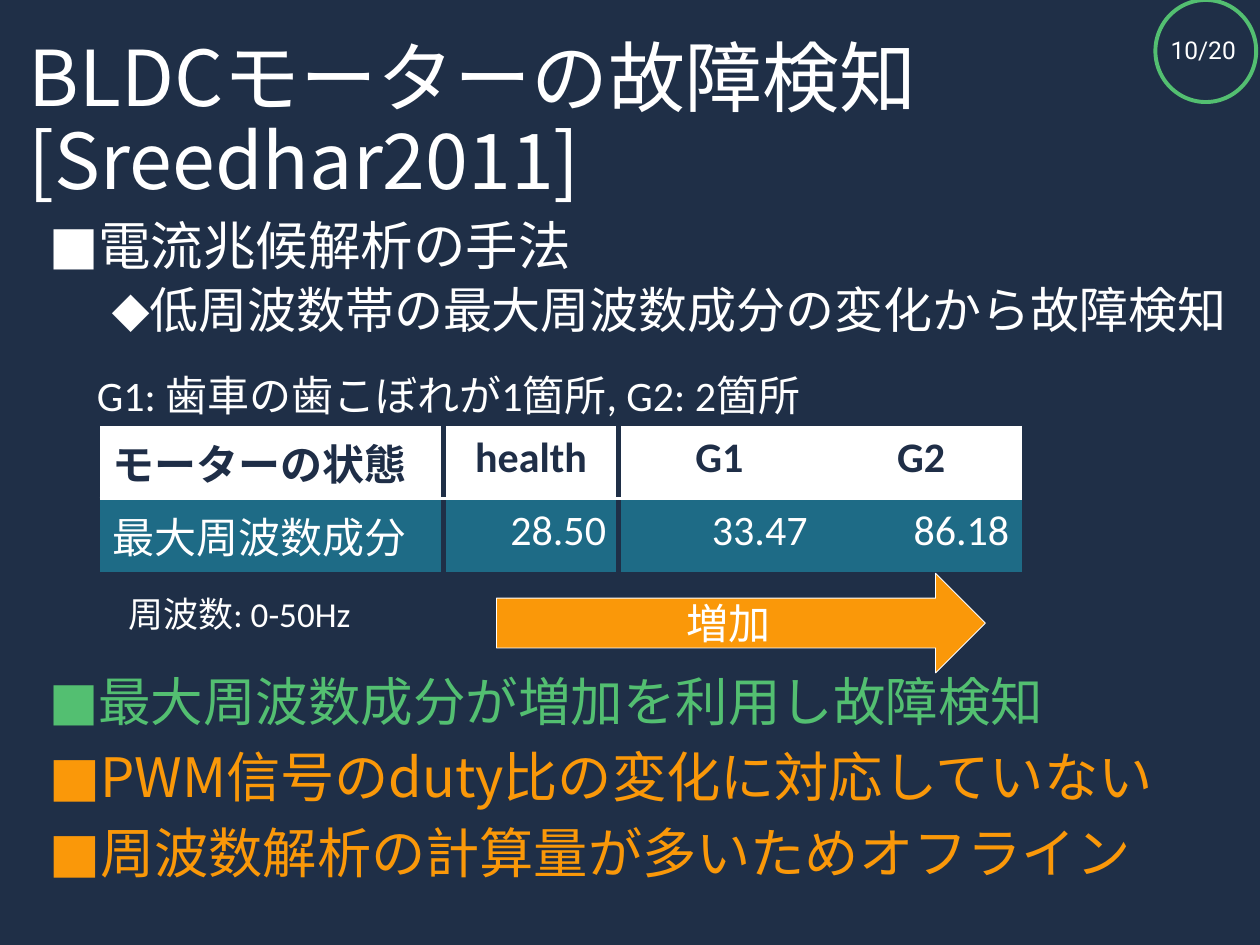
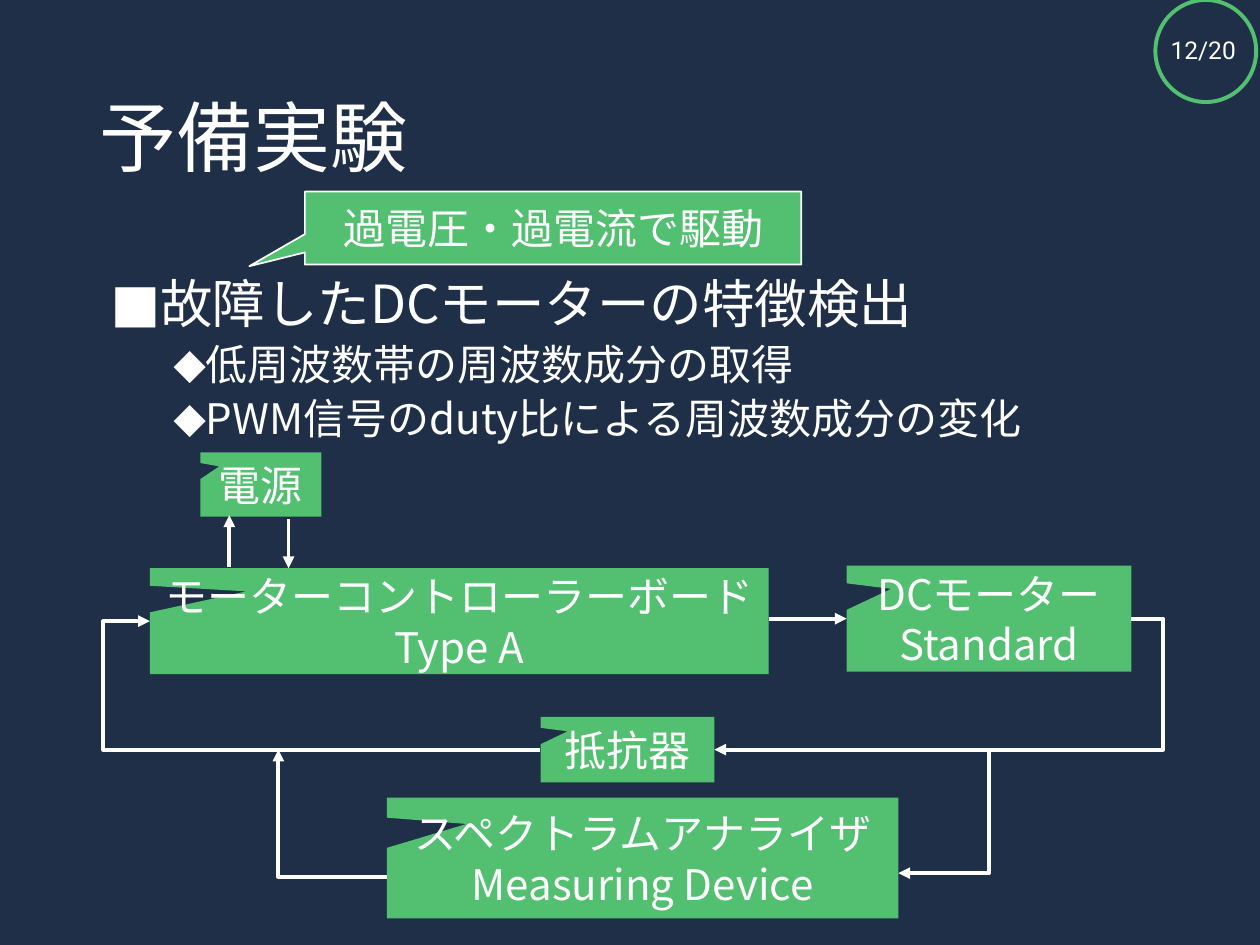
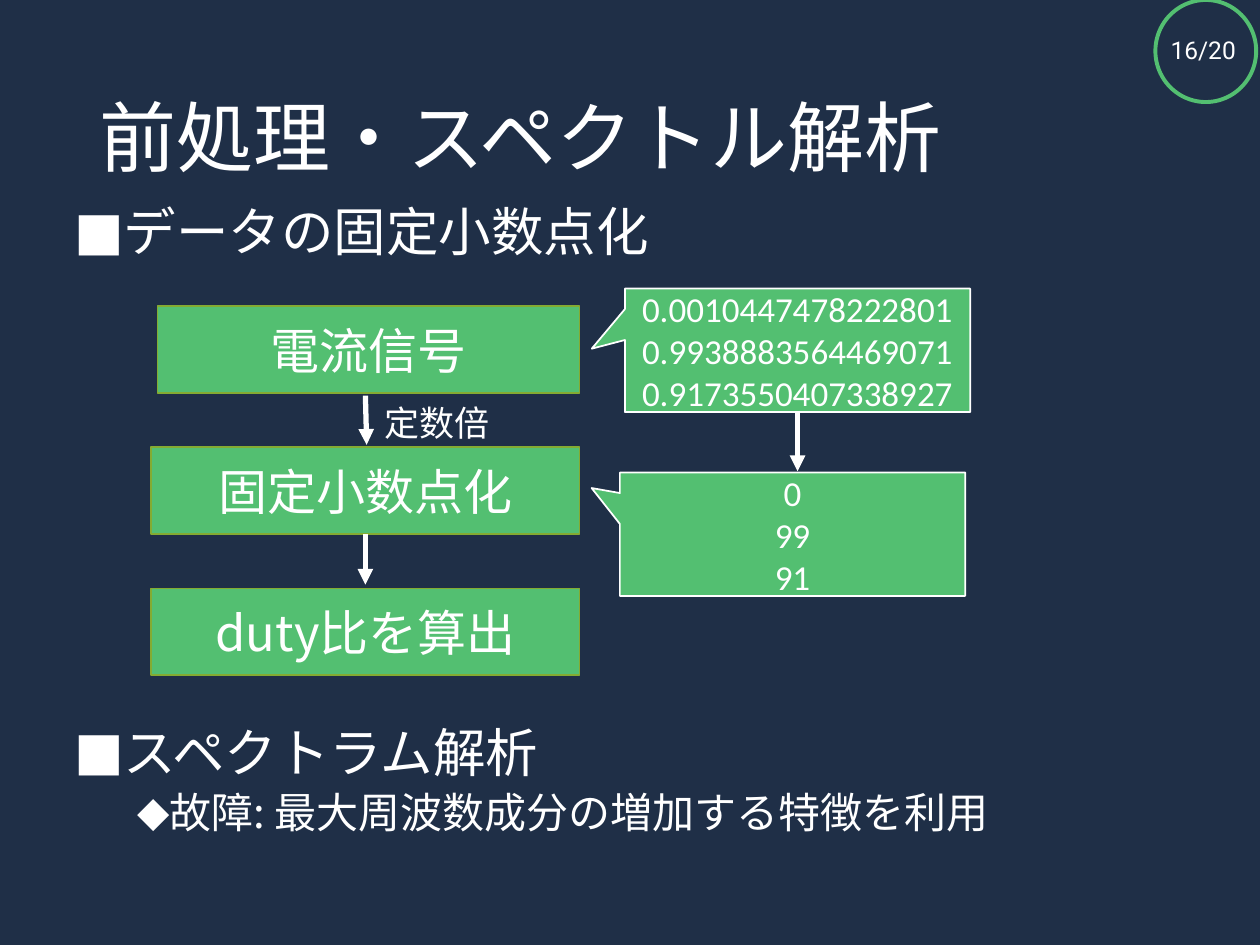
from dataclasses import dataclass

from lxml import etree
from pptx import Presentation
from pptx.dml.color import RGBColor
from pptx.enum.shapes import MSO_CONNECTOR, MSO_SHAPE
from pptx.enum.text import MSO_ANCHOR, MSO_AUTO_SIZE, PP_ALIGN
from pptx.oxml.ns import qn
from pptx.util import Inches, Pt

LEFT, CENTER, RIGHT = PP_ALIGN.LEFT, PP_ALIGN.CENTER, PP_ALIGN.RIGHT
MIDDLE, TOP = MSO_ANCHOR.MIDDLE, MSO_ANCHOR.TOP
STRAIGHT, ELBOW = MSO_CONNECTOR.STRAIGHT, MSO_CONNECTOR.ELBOW
CALLOUT = MSO_SHAPE.RECTANGULAR_CALLOUT
RECTANGLE, ELLIPSE, RIGHT_ARROW = MSO_SHAPE.RECTANGLE, MSO_SHAPE.OVAL, MSO_SHAPE.RIGHT_ARROW
TITLE_ONLY = 5
PLAIN_TABLE_STYLE = "{2D5ABB26-0587-4C30-8999-92F81FD0307C}"

Box = tuple[float, float, float, float]
Point = tuple[float, float]


@dataclass(frozen=True)
class Theme:
    background: str = "1F2F47"
    white: str = "FFFFFF"
    green: str = "53BF71"
    olive: str = "84AB32"
    orange: str = "FA9809"
    teal: str = "1E6B86"
    navy: str = "1F2E47"
    main_font: str = "Noto Sans CJK JP"
    note_font: str = "Calibri"
    number_font: str = "Roboto"
    title_size: int = 44
    bullet_size: int = 30
    step_size: int = 28
    label_size: int = 24
    note_size: int = 20
    number_size: int = 14


THEME = Theme()
TITLE_BOX: Box = (0.69, 0.4, 8.62, 1.45)


@dataclass(frozen=True)
class Bullet:
    text: str
    level: int = 0
    size: int = THEME.bullet_size
    color: str = THEME.white


@dataclass(frozen=True)
class Block:
    text: str
    box: Box
    kind: int = CALLOUT
    fill: str = THEME.green
    line: str | None = None
    line_width: float = 1
    tip: Point | None = None
    size: int = THEME.label_size
    font: str = THEME.main_font


@dataclass(frozen=True)
class Link:
    """A connector; an elbow with no bend has a single corner."""
    start: Point
    end: Point
    elbow: bool = False
    bend: float | None = None
    arrow_at_start: bool = False
    width: float = 2.25


def inches(values):
    return [Inches(value) for value in values]


def rgb(color: str) -> RGBColor:
    return RGBColor.from_string(color)


def write(frame, text: str, *, size: float, font: str = THEME.main_font,
          color: str = THEME.white, bold: bool = False, align=LEFT,
          anchor=TOP, spacing: float | None = None) -> None:
    """Fill a text frame, one paragraph for each line of text."""
    frame.text = text
    frame.vertical_anchor = anchor
    for paragraph in frame.paragraphs:
        format_paragraph(paragraph, size, font, color, bold, align, spacing)


def format_paragraph(paragraph, size, font, color, bold=False, align=LEFT, spacing=None) -> None:
    paragraph.alignment = align
    if spacing:
        paragraph.line_spacing = spacing
    for run in paragraph.runs:
        run.font.size = Pt(size)
        run.font.bold = bold
        run.font.name = font
        run.font.color.rgb = rgb(color)
        east_asian = etree.Element(qn("a:ea"), typeface=THEME.main_font)
        run.font._element.find(qn("a:latin")).addnext(east_asian)


def add_text_box(slide, box: Box):
    frame = slide.shapes.add_textbox(*inches(box)).text_frame
    frame.word_wrap = True
    return frame


def add_bullets(slide, box: Box, bullets: list[Bullet]) -> None:
    frame = add_text_box(slide, box)
    for index, bullet in enumerate(bullets):
        paragraph = frame.paragraphs[0] if index == 0 else frame.add_paragraph()
        properties = paragraph._p.get_or_add_pPr()
        properties.set("marL", str(Inches(0.25 + 0.5 * bullet.level)))
        properties.set("indent", str(Inches(-0.25)))
        etree.SubElement(properties, qn("a:buFont"), typeface=THEME.note_font)
        etree.SubElement(properties, qn("a:buChar"), char="■◆"[bullet.level])
        if index:
            paragraph.space_before = Pt(5 if bullet.level else 10)
        paragraph.add_run().text = bullet.text
        format_paragraph(paragraph, bullet.size, THEME.main_font, bullet.color, spacing=0.9)


def add_block(slide, block: Block):
    shape = slide.shapes.add_shape(block.kind, *inches(block.box))
    shape.shadow.inherit = False
    shape.fill.solid()
    shape.fill.fore_color.rgb = rgb(block.fill)
    if block.line:
        shape.line.color.rgb = rgb(block.line)
        shape.line.width = Pt(block.line_width)
    else:
        shape.line.fill.background()
    if block.tip:
        shape.adjustments[0], shape.adjustments[1] = block.tip
    if block.text:
        write(shape.text_frame, block.text, size=block.size, font=block.font,
              align=CENTER, anchor=MIDDLE)


def add_link(slide, link: Link) -> None:
    kind = ELBOW if link.elbow else STRAIGHT
    connector = slide.shapes.add_connector(kind, *inches(link.start + link.end))
    connector.line.color.rgb = rgb(THEME.white)
    connector.line.width = Pt(link.width)
    properties = connector._element.spPr
    geometry = properties.find(qn("a:prstGeom"))
    if link.bend is not None:
        guides = geometry.find(qn("a:avLst"))
        etree.SubElement(guides, qn("a:gd"), name="adj1", fmla=f"val {round(link.bend * 100000)}")
    elif link.elbow:
        geometry.set("prst", "bentConnector2")
    arrow_end = "a:headEnd" if link.arrow_at_start else "a:tailEnd"
    etree.SubElement(properties.find(qn("a:ln")), qn(arrow_end), type="triangle")
    etree.SubElement(properties, qn("a:effectLst"))


def add_border(cell, side: str, color: str, width: float) -> None:
    border = etree.SubElement(cell._tc.get_or_add_tcPr(), qn(f"a:{side}"), w=str(Pt(width)))
    fill = etree.SubElement(border, qn("a:solidFill"))
    etree.SubElement(fill, qn("a:srgbClr"), val=color)


def add_frequency_table(slide) -> None:
    rows = [["モーターの状態", "health", "G1", "G2"],
            ["最大周波数成分", "28.50", "33.47", "86.18"]]
    widths = [2.73, 1.39, 1.6, 1.6]
    graphic = slide.shapes.add_table(2, 4, *inches((0.79, 3.38, 7.32, 1.16)))
    table = graphic.table
    table._tbl.tblPr.find(qn("a:tableStyleId")).text = PLAIN_TABLE_STYLE
    table.horz_banding = False
    for column, width in zip(table.columns, widths):
        column.width = Inches(width)
    for row, values in enumerate(rows):
        header = row == 0
        for column, value in enumerate(values):
            cell = table.cell(row, column)
            if column < 2:
                add_border(cell, "lnR", THEME.background, 3)
            if header:
                add_border(cell, "lnB", THEME.white, 2)
            cell.fill.solid()
            cell.fill.fore_color.rgb = rgb(THEME.white if header else THEME.teal)
            value_align = CENTER if header else RIGHT
            write(cell.text_frame, value, size=THEME.label_size, font=THEME.note_font,
                  color=THEME.navy if header else THEME.white, bold=header,
                  align=value_align if column else LEFT)


def start_slide(presentation, title: str, number: int, title_box: Box = TITLE_BOX):
    slide = presentation.slides.add_slide(presentation.slide_layouts[TITLE_ONLY])
    placeholder = slide.shapes.title
    placeholder.left, placeholder.top, placeholder.width, placeholder.height = inches(title_box)
    write(placeholder.text_frame, title, size=THEME.title_size, anchor=MIDDLE, spacing=0.9)
    placeholder.text_frame.auto_size = MSO_AUTO_SIZE.NONE
    add_block(slide, Block("", (9.17, 0, 0.8, 0.81), ELLIPSE, THEME.background,
                           THEME.green, 2.25))
    frame = add_text_box(slide, (9.12, 0.24, 0.86, 0.31))
    frame.margin_left = frame.margin_right = Inches(0.08)
    frame.margin_top = frame.margin_bottom = Inches(0.04)
    write(frame, f"{number}/20", size=THEME.number_size, font=THEME.number_font, align=CENTER)
    return slide


def add_note(slide, text: str, box: Box, size: int = THEME.note_size) -> None:
    write(add_text_box(slide, box), text, size=size, font=THEME.note_font)


def build_fault_detection(presentation) -> None:
    slide = start_slide(presentation, "BLDCモーターの故障検知 [Sreedhar2011]", 10,
                        (0.13, 0.25, 9.75, 1.45))
    add_bullets(slide, (0.29, 1.7, 9.75, 1.1), [
        Bullet("電流兆候解析の手法"),
        Bullet("低周波数帯の最大周波数成分の変化から故障検知", 1, 28),
    ])
    add_bullets(slide, (0.29, 5.32, 9.75, 1.9), [
        Bullet("最大周波数成分が増加を利用し故障検知", color=THEME.green),
        Bullet("PWM信号のduty比の変化に対応していない", size=31, color=THEME.orange),
        Bullet("周波数解析の計算量が多いためオフライン", size=31, color=THEME.orange),
    ])
    add_frequency_table(slide)
    add_block(slide, Block("増加", (3.94, 4.55, 3.88, 0.79), RIGHT_ARROW, THEME.orange,
                           THEME.white, 0.5))
    add_note(slide, "周波数: 0-50Hz", (0.92, 4.65, 2.6, 0.45))
    add_note(slide, "G1: 歯車の歯こぼれが1箇所, G2: 2箇所", (0.67, 2.88, 8.17, 0.5),
             THEME.label_size)


def build_experiment(presentation) -> None:
    slide = start_slide(presentation, "予備実験", 12)
    add_bullets(slide, (0.78, 2.16, 8.62, 1.72), [
        Bullet("故障したDCモーターの特徴検出"),
        Bullet("低周波数帯の周波数成分の取得", 1, 24),
        Bullet("PWM信号のduty比による周波数成分の変化", 1, 24),
    ])
    devices = {
        "モーターコントローラーボード\nType A": (1.19, 4.51, 4.91, 0.84),
        "電源": (1.59, 3.59, 0.96, 0.51),
        "DCモーター\nStandard": (6.72, 4.49, 2.26, 0.84),
        "抵抗器": (4.29, 5.69, 1.38, 0.52),
        "スペクトラムアナライザ\nMeasuring Device": (3.07, 6.33, 4.06, 0.96),
    }
    for text, box in devices.items():
        add_block(slide, Block(text, box, tip=(-0.344, -0.281)))
    links = [
        Link((1.82, 4.5), (1.82, 4.09)),
        Link((2.29, 4.12), (2.29, 4.51)),
        Link((6.1, 4.91), (6.72, 4.91)),
        Link((8.98, 4.91), (5.67, 5.95), elbow=True, bend=-0.076),
        Link((4.29, 5.95), (1.19, 4.93), elbow=True, bend=1.119),
        Link((3.07, 6.96), (2.21, 5.95), elbow=True),
        Link((7.13, 6.93), (7.85, 5.95), elbow=True, arrow_at_start=True),
    ]
    for link in links:
        add_link(slide, link)
    add_block(slide, Block("過電圧・過電流で駆動", (2.42, 1.52, 3.94, 0.58),
                           line=THEME.white, tip=(-0.612, 0.522)))


def build_preprocessing(presentation) -> None:
    slide = start_slide(presentation, "前処理・スペクトル解析", 16)
    add_bullets(slide, (0.49, 1.59, 8.85, 0.65), [Bullet("データの固定小数点化")])
    add_bullets(slide, (0.49, 5.72, 8.85, 1.1), [
        Bullet("スペクトラム解析"),
        Bullet("故障: 最大周波数成分の増加する特徴を利用", 1, 24),
    ])
    steps = {
        "電流信号": (1.25, 2.43, 3.35, 0.69),
        "固定小数点化": (1.2, 3.55, 3.4, 0.69),
        "duty比を算出": (1.2, 4.67, 3.4, 0.69),
    }
    for text, box in steps.items():
        add_block(slide, Block(text, box, RECTANGLE, line=THEME.olive, size=THEME.step_size))
    samples = [
        ("0.0010447478222801\n0.9938883564469071\n0.9173550407338927",
         (4.96, 2.29, 2.74, 0.98), (-0.596, -0.013)),
        ("0\n99\n91", (4.92, 3.75, 2.74, 0.98), (-0.582, -0.374)),
    ]
    for text, box, tip in samples:
        add_block(slide, Block(text, box, line=THEME.white, tip=tip,
                               size=THEME.note_size, font=THEME.note_font))
    for start, end in [((2.9, 3.14), (2.91, 3.53)), ((2.9, 4.24), (2.9, 4.64)),
                       ((6.33, 3.26), (6.33, 3.74))]:
        add_link(slide, Link(start, end, width=3))
    add_note(slide, "定数倍", (2.95, 3.14, 1.33, 0.44))


def main() -> None:
    presentation = Presentation()
    presentation.slide_width, presentation.slide_height = Inches(10), Inches(7.5)
    background = presentation.slide_master.background.fill
    background.solid()
    background.fore_color.rgb = rgb(THEME.background)
    build_fault_detection(presentation)
    build_experiment(presentation)
    build_preprocessing(presentation)
    presentation.save("out.pptx")


if __name__ == "__main__":
    main()
